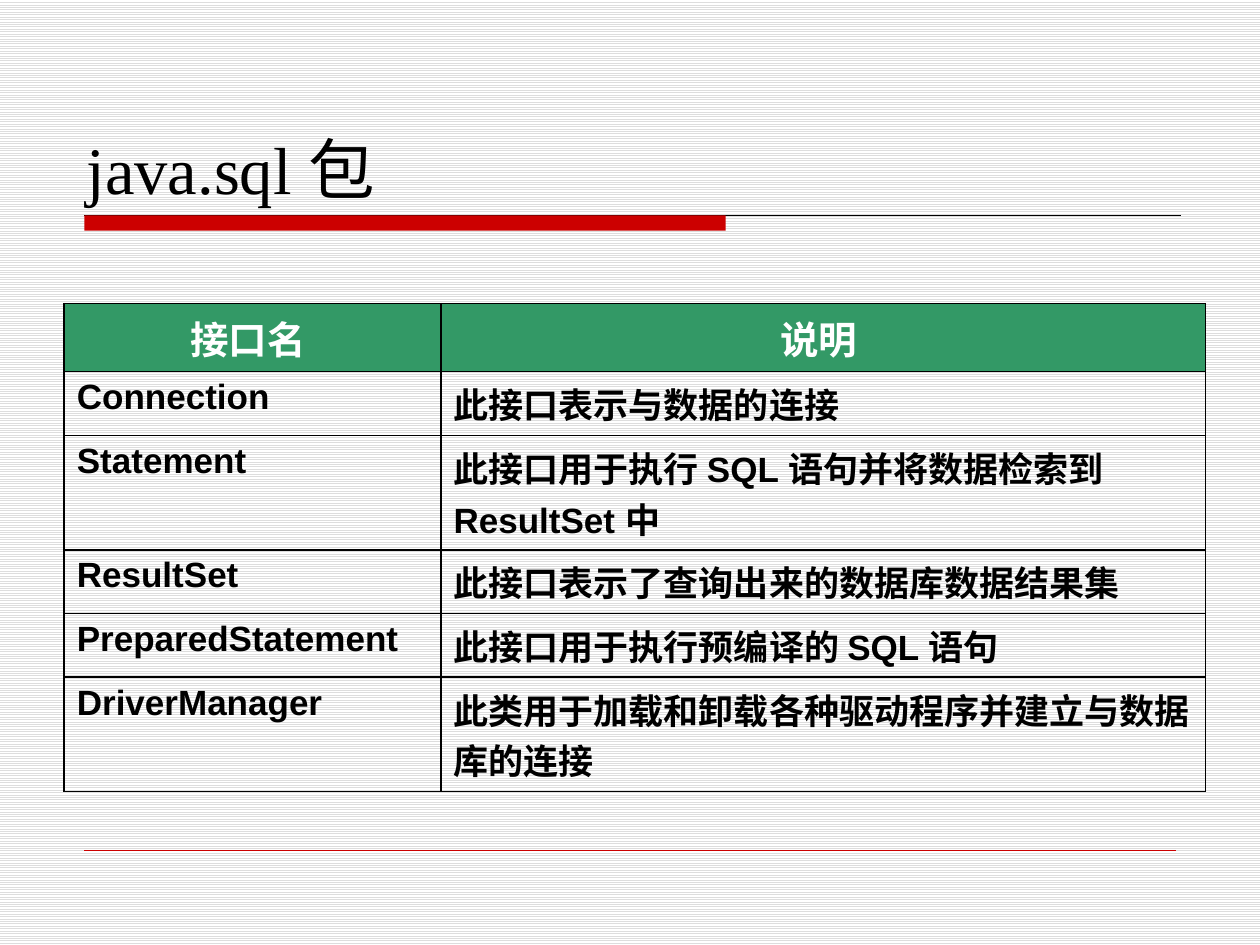
from dataclasses import dataclass
from typing import NamedTuple

from lxml.etree import SubElement
from pptx import Presentation
from pptx.dml.color import RGBColor as RGB
from pptx.enum.dml import MSO_PATTERN
from pptx.enum.shapes import MSO_CONNECTOR, MSO_SHAPE
from pptx.enum.text import MSO_ANCHOR, PP_ALIGN
from pptx.oxml import parse_xml
from pptx.oxml.ns import nsdecls, qn
from pptx.util import Inches, Pt


@dataclass(frozen=True)
class Theme:
    black: RGB = RGB(0, 0, 0)
    white: RGB = RGB(0xFF, 0xFF, 0xFF)
    red: RGB = RGB(0xCC, 0, 0)
    green: RGB = RGB(0x33, 0x99, 0x66)
    stripe: RGB = RGB(0xDD, 0xDD, 0xDD)
    title_font: str = "Times New Roman"
    table_font: str = "Arial"
    title_size: float = 38
    header_size: float = 22
    body_size: float = 20
    hanging: float = 0.38


class Rule(NamedTuple):
    left: float
    right: float
    y: float
    color: RGB
    weight: float


class Entry(NamedTuple):
    name: str
    description: str
    height: float
    hanging: bool = True


THEME = Theme()
RULES = [
    Rule(0.67, 9.37, 1.71, THEME.black, 0.75),
    Rule(0.67, 9.33, 6.75, THEME.red, 0.25),
]
ONE_LINE, TWO_LINES = 0.505, 0.91
HEADER = Entry("接口名 ", "说明 ", 0.54)
ENTRIES = [
    Entry("Connection", "此接口表示与数据的连接", ONE_LINE),
    Entry("Statement", "此接口用于执行 SQL 语句并将数据检索到 ResultSet 中", TWO_LINES, False),
    Entry("ResultSet", "此接口表示了查询出来的数据库数据结果集", ONE_LINE),
    Entry("PreparedStatement", "此接口用于执行预编译的 SQL 语句", ONE_LINE),
    Entry("DriverManager", "此类用于加载和卸载各种驱动程序并建立与数据库的连接", TWO_LINES, False),
]
COLUMN_WIDTHS = (2.99, 6.07)
TITLE_FORMAT = {"name": THEME.title_font, "size": Pt(THEME.title_size)}
HEADER_FORMAT = {"name": THEME.table_font, "size": Pt(THEME.header_size), "bold": True}
BODY_FORMAT = HEADER_FORMAT | {"size": Pt(THEME.body_size)}


def write(paragraph, text: str, formats: dict, color: RGB) -> None:
    run = paragraph.add_run()
    run.text = text
    for attribute, value in formats.items():
        setattr(run.font, attribute, value)
    run.font.color.rgb = color


def draw_background(slide) -> None:
    fill = slide.background.fill
    fill.patterned()
    fill.pattern = MSO_PATTERN.LIGHT_HORIZONTAL
    fill.fore_color.rgb = THEME.stripe
    fill.back_color.rgb = THEME.white


def draw_rule(slide, rule: Rule) -> None:
    line = slide.shapes.add_connector(
        MSO_CONNECTOR.STRAIGHT,
        Inches(rule.left), Inches(rule.y), Inches(rule.right), Inches(rule.y),
    )
    line.line.color.rgb = rule.color
    line.line.width = Pt(rule.weight)
    SubElement(line._element.spPr, qn("a:effectLst"))


def draw_title(slide) -> None:
    bar = slide.shapes.add_shape(
        MSO_SHAPE.RECTANGLE, Inches(0.67), Inches(1.71), Inches(5.09), Inches(0.12)
    )
    bar.shadow.inherit = False
    bar.fill.solid()
    bar.fill.fore_color.rgb = THEME.red
    bar.line.fill.background()

    title = slide.shapes.add_textbox(
        Inches(0.59), Inches(0.83), Inches(8.27), Inches(0.87)
    ).text_frame
    title.word_wrap = True
    title.vertical_anchor = MSO_ANCHOR.BOTTOM
    write(title.paragraphs[0], "java.sql 包", TITLE_FORMAT, THEME.black)


def add_borders(cell) -> None:
    """Borders go before the fill, as the schema orders them."""
    properties = cell._tc.get_or_add_tcPr()
    for position, side in enumerate("LRTB"):
        properties.insert(position, parse_xml(
            f'<a:ln{side} {nsdecls("a")} w="{Pt(1)}"><a:solidFill>'
            f'<a:srgbClr val="{THEME.black}"/></a:solidFill></a:ln{side}>'
        ))


def fill_cell(cell, text: str, is_header: bool, hanging: bool) -> None:
    paragraph = cell.text_frame.paragraphs[0]
    if hanging:
        properties = paragraph._p.get_or_add_pPr()
        properties.set("marL", str(Inches(THEME.hanging)))
        properties.set("indent", str(-Inches(THEME.hanging)))
    if is_header:
        paragraph.alignment = PP_ALIGN.CENTER
        cell.fill.solid()
        cell.fill.fore_color.rgb = THEME.green
        write(paragraph, text, HEADER_FORMAT, THEME.white)
    else:
        cell.fill.background()
        write(paragraph, text, BODY_FORMAT, THEME.black)
    add_borders(cell)


def draw_interfaces(slide) -> None:
    entries = [HEADER, *ENTRIES]
    table = slide.shapes.add_table(
        len(entries), len(COLUMN_WIDTHS),
        Inches(0.51), Inches(2.41),
        Inches(sum(COLUMN_WIDTHS)), Inches(sum(entry.height for entry in entries)),
    ).table
    table.first_row = table.horz_banding = False
    for column, width in zip(table.columns, COLUMN_WIDTHS):
        column.width = Inches(width)
    for row, entry in zip(table.rows, entries):
        row.height = Inches(entry.height)
        name, description = row.cells
        fill_cell(name, entry.name, entry is HEADER, True)
        fill_cell(description, entry.description, entry is HEADER, entry.hanging)


def main() -> None:
    deck = Presentation()
    deck.slide_width, deck.slide_height = Inches(10), Inches(7.5)
    slide = deck.slides.add_slide(deck.slide_layouts[6])
    draw_background(slide)
    for rule in RULES:
        draw_rule(slide, rule)
    draw_title(slide)
    draw_interfaces(slide)
    deck.save("out.pptx")


if __name__ == "__main__":
    main()
